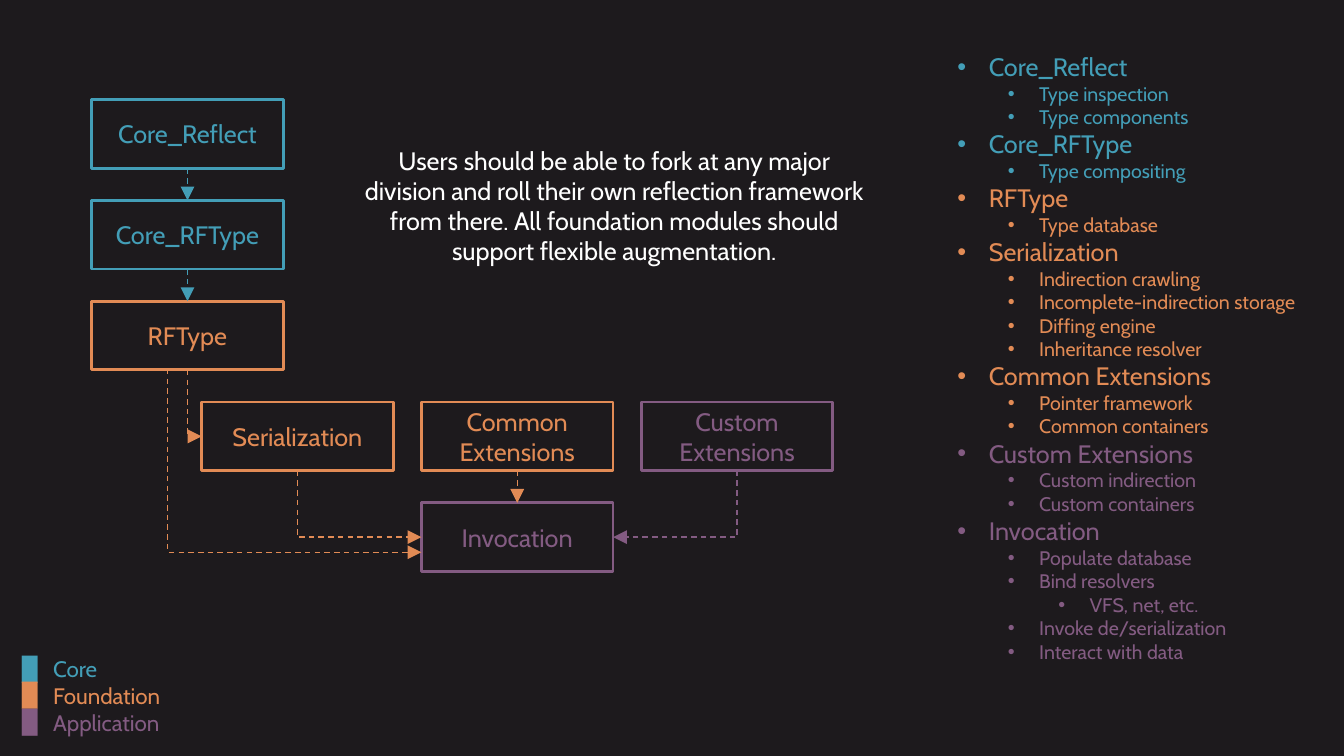
import pptx
import pptx.dml.color
import pptx.enum.dml
import pptx.enum.shapes
import pptx.enum.text
import pptx.oxml.ns
import pptx.util
import lxml.etree

Cm = pptx.util.Cm
qn = pptx.oxml.ns.qn
COLORS = {
    "backdrop": "1D1A1D",
    "core": "439EB7",
    "foundation": "E28B55",
    "application": "835B82",
    "statement": "FFFFFF",
}
MODULE_WIDTH, MODULE_HEIGHT = 4.83, 1.73
TOP_ROW, ROW_PITCH = 2.51, 2.54
STACK_LEFT, BRANCH_LEFT, BRANCH_PITCH = 2.31, 5.08, 5.54
BRANCHES = [BRANCH_LEFT + BRANCH_PITCH * column for column in range(3)]

MODULES = [
    ("Core_Reflect", "core", STACK_LEFT, 0),
    ("Core_RFType", "core", STACK_LEFT, 1),
    ("RFType", "foundation", STACK_LEFT, 2),
    ("Serialization", "foundation", BRANCHES[0], 3),
    ("Common Extensions", "foundation", BRANCHES[1], 3),
    ("Custom Extensions", "application", BRANCHES[2], 3),
    ("Invocation", "application", BRANCHES[1], 4),
]
FEATURES = [
    ("core", "Core_Reflect", ["Type inspection", "Type components"]),
    ("core", "Core_RFType", ["Type compositing"]),
    ("foundation", "RFType", ["Type database"]),
    ("foundation", "Serialization", [
        "Indirection crawling", "Incomplete-indirection storage",
        "Diffing engine", "Inheritance resolver"]),
    ("foundation", "Common Extensions", ["Pointer framework", "Common containers"]),
    ("application", "Custom Extensions", ["Custom indirection", "Custom containers"]),
    ("application", "Invocation", [
        "Populate database", "Bind resolvers", ["VFS, net, etc."],
        "Invoke de/serialization", "Interact with data"]),
]
LEGEND = [("Core", "core"), ("Foundation", "foundation"), ("Application", "application")]
STATEMENT = (
    "Users should be able to fork at any major division and roll their own "
    "reflection framework from there. All foundation modules should support "
    "flexible augmentation."
)


def outline(color, entries, level=0):
    for entry in entries:
        if isinstance(entry, list):
            yield from outline(color, entry, level + 1)
        else:
            yield entry, color, level, 14 if level else 18


class ModuleSlide:
    font = "Cabin"

    def __init__(self, presentation):
        self.slide = presentation.slides.add_slide(presentation.slide_layouts[6])
        self.shapes = self.slide.shapes
        fill = self.slide.background.fill
        fill.solid()
        fill.fore_color.rgb = self.rgb("backdrop")

    def rgb(self, color):
        return pptx.dml.color.RGBColor.from_string(COLORS[color])

    def set_wording(self, paragraph, wording, color, size, centred=False):
        paragraph.text = wording
        if centred:
            paragraph.alignment = pptx.enum.text.PP_ALIGN.CENTER
        for run in paragraph.runs:
            run.font.name = self.font
            run.font.size = pptx.util.Pt(size)
            run.font.color.rgb = self.rgb(color)

    def module(self, name, color, left, row):
        module = self.shapes.add_shape(
            pptx.enum.shapes.MSO_SHAPE.RECTANGLE, Cm(left), Cm(TOP_ROW + ROW_PITCH * row),
            Cm(MODULE_WIDTH), Cm(MODULE_HEIGHT))
        module.shadow.inherit = False
        module.fill.background()
        module.line.color.rgb = self.rgb(color)
        module.line.width = pptx.util.Pt(2)
        module.text_frame.word_wrap = True
        module.text_frame.vertical_anchor = pptx.enum.text.MSO_ANCHOR.MIDDLE
        self.set_wording(module.text_frame.paragraphs[0], name, color, 18, centred=True)
        return module

    def text_area(self, left, top, width, height):
        frame = self.shapes.add_textbox(Cm(left), Cm(top), Cm(width), Cm(height)).text_frame
        frame.word_wrap = True
        frame.auto_size = pptx.enum.text.MSO_AUTO_SIZE.SHAPE_TO_FIT_TEXT
        return frame

    def statement(self, wording, *place):
        frame = self.text_area(*place)
        self.set_wording(frame.paragraphs[0], wording, "statement", 18, centred=True)

    def bullets(self, entries, mark, *place):
        frame = self.text_area(*place)
        for index, (wording, color, level, size) in enumerate(entries):
            paragraph = frame.add_paragraph() if index else frame.paragraphs[0]
            self.set_wording(paragraph, wording, color, size)
            paragraph.level = level
            properties = paragraph._p.get_or_add_pPr()
            properties.set("marL", str(Cm(0.79 + 1.27 * level)))
            properties.set("indent", str(-Cm(0.79)))
            lxml.etree.SubElement(properties, qn("a:buFont")).set("typeface", "Arial")
            lxml.etree.SubElement(properties, qn("a:buChar")).set("char", mark)

    def arrow(self, kind, color, start, end):
        arrow = self.shapes.add_connector(kind, *(Cm(length) for length in (*start, *end)))
        arrow.line.color.rgb = self.rgb(color)
        arrow.line.width = pptx.util.Pt(1)
        arrow.line.dash_style = pptx.enum.dml.MSO_LINE.DASH
        properties = arrow._element.spPr
        head = lxml.etree.SubElement(properties.find(qn("a:ln")), qn("a:tailEnd"))
        for key, setting in (("type", "triangle"), ("w", "lg"), ("len", "lg")):
            head.set(key, setting)
        lxml.etree.SubElement(properties, qn("a:effectLst"))
        return arrow

    def down_arrow(self, color, upper, lower):
        arrow = self.arrow(pptx.enum.shapes.MSO_CONNECTOR.STRAIGHT, color, (0, 0), (0, 1))
        arrow.begin_connect(upper, 2)
        arrow.end_connect(lower, 0)

    def corner_arrow(self, color, start, end):
        (x1, y1), (x2, y2) = start, end
        drop, reach = y2 - y1, abs(x2 - x1)
        left, top = (x1 + x2 - drop) / 2, (y1 + y2 - reach) / 2
        arrow = self.arrow(pptx.enum.shapes.MSO_CONNECTOR.ELBOW, color,
                           (left, top), (left + drop, top + reach))
        properties = arrow._element.spPr
        properties.find(qn("a:prstGeom")).set("prst", "bentConnector2")
        if x2 > x1:
            properties.xfrm.set("rot", "16200000")
            properties.xfrm.set("flipH", "1")
        else:
            properties.xfrm.set("rot", "5400000")

    def bypass_arrow(self, color, start, end):
        arrow = self.arrow(pptx.enum.shapes.MSO_CONNECTOR.ELBOW, color, start, end)
        adjustments = arrow._element.spPr.find(qn("a:prstGeom")).find(qn("a:avLst"))
        bend = lxml.etree.SubElement(adjustments, qn("a:gd"))
        bend.set("name", "adj1")
        bend.set("fmla", "val 400")


def main():
    presentation = pptx.Presentation()
    presentation.slide_width = Cm(33.87)
    presentation.slide_height = Cm(19.05)
    overview = ModuleSlide(presentation)

    modules = {name: overview.module(name, color, left, row)
               for name, color, left, row in MODULES}
    for color, upper, lower in [
        ("core", "Core_Reflect", "Core_RFType"),
        ("core", "Core_RFType", "RFType"),
        ("foundation", "Common Extensions", "Invocation"),
    ]:
        overview.down_arrow(color, modules[upper], modules[lower])

    half = MODULE_WIDTH / 2
    stack_bottom, branch_bottom = (
        TOP_ROW + ROW_PITCH * row + MODULE_HEIGHT for row in (2, 3))
    branch_middle, invocation_middle = (
        TOP_ROW + ROW_PITCH * row + MODULE_HEIGHT / 2 for row in (3, 4))
    overview.corner_arrow("foundation", (STACK_LEFT + half, stack_bottom),
                          (BRANCHES[0], branch_middle))
    overview.corner_arrow("foundation", (BRANCHES[0] + half, branch_bottom),
                          (BRANCHES[1], invocation_middle))
    overview.corner_arrow("application", (BRANCHES[2] + half, branch_bottom),
                          (BRANCHES[1] + MODULE_WIDTH, invocation_middle))
    overview.bypass_arrow("foundation", (STACK_LEFT + half - 0.53, stack_bottom),
                          (BRANCHES[1], invocation_middle + 0.38))

    features = [line for color, heading, details in FEATURES
                for line in outline(color, [heading, details])]
    overview.bullets(features, "•", 23.88, 1.17, 9.17, 16.41)
    overview.bullets([(layer, color, 0, 16) for layer, color in LEGEND],
                     "█", 0.3, 16.38, 11.1, 2.31)
    overview.statement(STATEMENT, 8.81, 3.53, 13.34, 3.33)
    presentation.save("out.pptx")


if __name__ == "__main__":
    main()
